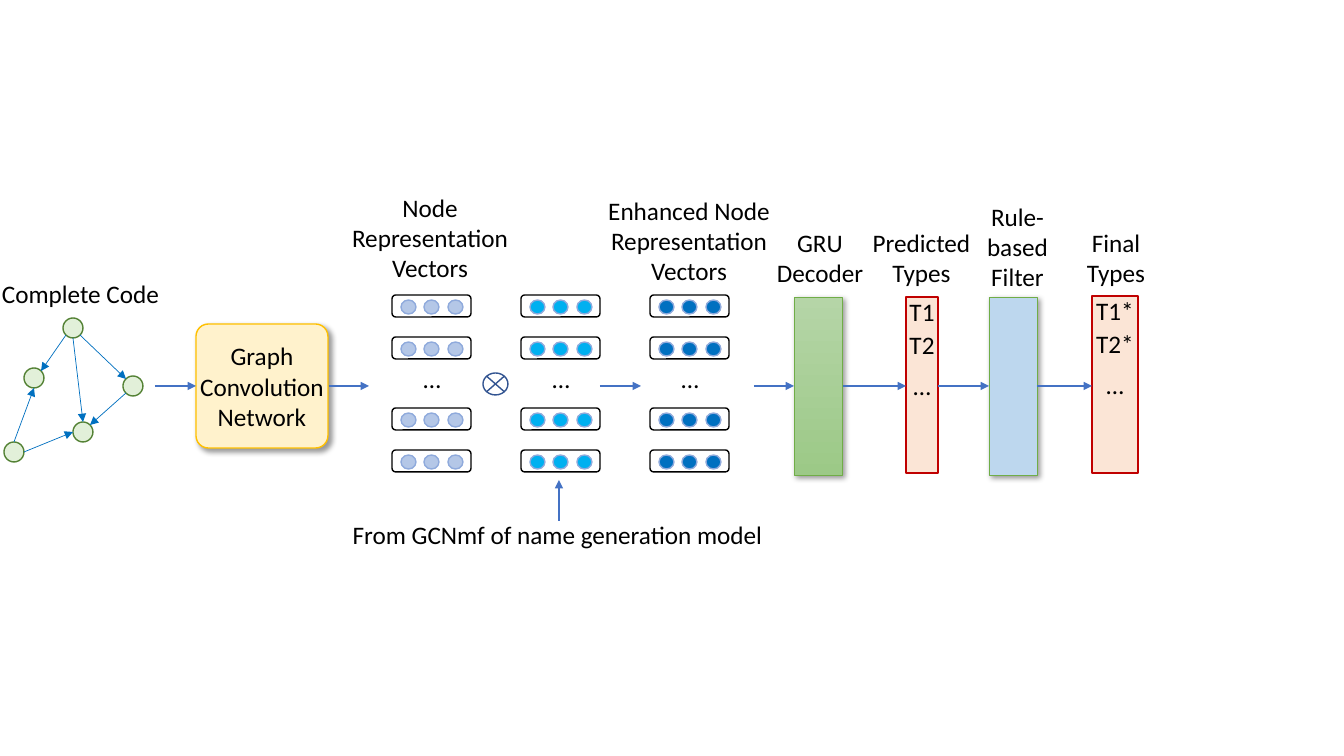
"""Builds a slide showing a type prediction pipeline, from code graph to final types."""
import math
from lxml import etree
from pptx import Presentation, util as u
from pptx.dml.color import RGBColor
from pptx.enum import shapes as kinds, text
from pptx.oxml.ns import qn

SCALE = 914400 / 100.8
SHAPE = kinds.MSO_SHAPE
BLACK, BLUE = "000000", "4472C4"
AXIS = 386


def px(*lengths):
    return [u.Emu(round(length * SCALE)) for length in lengths]


def colour(value):
    return RGBColor.from_string(value)


def write(shape, words, inset=0):
    frame = shape.text_frame
    frame.text = words
    frame.margin_left = frame.margin_right = 0
    frame.margin_top = frame.margin_bottom = px(inset)[0]
    frame.word_wrap = False
    for para in frame.paragraphs:
        para.alignment = text.PP_ALIGN.CENTER
        for span in para.runs:
            span.font.name, span.font.size = "Calibri", u.Pt(18)
            span.font.color.rgb = colour(BLACK)
    return frame


def label(parent, box, words):
    frame = write(parent.add_textbox(*px(*box)), words, 5)
    frame.vertical_anchor = text.MSO_ANCHOR.TOP
    frame.auto_size = text.MSO_AUTO_SIZE.SHAPE_TO_FIT_TEXT


def draw(parent, kind, box, fill, line, weight=1, shadow=False):
    shape = parent.add_shape(kind, *px(*box))
    shape.shadow.inherit = False
    if fill:
        shape.fill.solid()
        shape.fill.fore_color.rgb = colour(fill)
    else:
        shape.fill.background()
    shape.line.color.rgb, shape.line.width = colour(line), u.Pt(weight)
    if shadow:
        effects = shape._element.spPr.find(qn("a:effectLst"))
        outer = etree.SubElement(effects, qn("a:outerShdw"), blurRad="50800", dist="38100",
                                 dir="2700000", algn="tl", rotWithShape="0")
        black = etree.SubElement(outer, qn("a:srgbClr"), val=BLACK)
        etree.SubElement(black, qn("a:alpha"), val="40000")
    return shape


def arrow(parent, start, end, line=BLUE, weight=1.5):
    link = parent.add_connector(kinds.MSO_CONNECTOR.STRAIGHT, *px(*start, *end))
    link.line.color.rgb, link.line.width = colour(line), u.Pt(weight)
    properties = link._element.spPr
    etree.SubElement(properties.find(qn("a:ln")), qn("a:tailEnd"), type="triangle")
    etree.SubElement(properties, qn("a:effectLst"))


def code_graph(page, left, top):
    group = page.shapes.add_group_shape().shapes
    radius = 10
    nodes = {"root": (69, 10), "left": (30, 60), "low": (79, 114),
             "right": (129, 68), "corner": (10, 134)}
    edges = [("root", 3, "left", 7), ("root", 4, "low", 0), ("root", 5, "right", 1),
             ("right", 3, "low", 7), ("corner", 6, "low", 2), ("corner", 0, "left", 4)]

    def rim(node, eighth):
        x, y = nodes[node]
        turn = eighth * math.pi / 4
        return (round(left + x - radius * math.sin(turn)),
                round(top + y - radius * math.cos(turn)))

    for x, y in nodes.values():
        draw(group, SHAPE.OVAL, (left + x - radius, top + y - radius, 2 * radius, 2 * radius),
             "E2F0D9", "548235")
    for source, leave, target, arrive in edges:
        arrow(group, rim(source, leave), rim(target, arrive), "0070C0", 0.5)
    label(page.shapes, (left - 13, top - 45, 179, 40), "Complete Code")


def network(page, box):
    shape = draw(page.shapes, SHAPE.ROUNDED_RECTANGLE, box, "FFF2CC", "FFC000", shadow=True)
    shape.adjustments[0] = 0.1
    frame = write(shape, "Graph\nConvolution\nNetwork")
    frame.vertical_anchor = text.MSO_ANCHOR.MIDDLE


def vectors(page, left, top, fill):
    group = page.shapes.add_group_shape().shapes
    for row in (0, 42, 113, 155):
        draw(group, SHAPE.ROUNDED_RECTANGLE, (left, top + row, 79, 22), None, BLACK)
        for dot in (9, 32, 56):
            draw(group, SHAPE.OVAL, (left + dot, top + row + 5, 15, 14), fill, "8FAADC")
    label(group, (left + 21, top + 63, 38, 40), "…")


def stage(page, box, fill, caption_box, caption):
    shape = draw(page.shapes, SHAPE.RECTANGLE, box, fill[0], "70AD47", 0.5, shadow=True)
    if len(fill) > 1:
        shape.fill.gradient()
        shape.fill.gradient_angle = 270
        for stop, shade in zip(shape.fill.gradient_stops, fill):
            stop.color.rgb = colour(shade)
    label(page.shapes, caption_box, caption)


def type_list(page, box, names, caption_box, caption):
    left, top, width, height = box
    group = page.shapes.add_group_shape().shapes
    column = draw(group, SHAPE.RECTANGLE, box, "FBE5D6", "C00000")
    write(column, "…").vertical_anchor = text.MSO_ANCHOR.MIDDLE
    for row, name in enumerate(names):
        label(group, (left - 6, top - 6 + 33 * row, width + 12, 40), name)
    label(page.shapes, caption_box, caption)


def pipeline(page):
    code_graph(page, 4, 318)
    network(page, (196, 324, 132, 124))
    for column, fill in enumerate(("B4C7E7", "00B0F0", "0070C0")):
        vectors(page, 392 + 129 * column, 295, fill)
    label(page.shapes, (338, 187, 184, 102), "Node\nRepresentation\nVectors")
    label(page.shapes, (597, 190, 184, 102), "Enhanced Node\nRepresentation\nVectors")
    label(page.shapes, (340, 514, 435, 40), "From GCNmf of name generation model")
    draw(page.shapes, SHAPE.FLOWCHART_SUMMING_JUNCTION, (483, 373, 25, 22), None, "325491")
    stage(page, (794, 297, 48, 178), ("B5D5A7", "9CC987"), (766, 222, 108, 72), "GRU\nDecoder")
    type_list(page, (906, 297, 32, 176), ("T1", "T2"), (862, 222, 119, 72), "Predicted\nTypes")
    stage(page, (989, 297, 48, 178), ("BDD7EE",), (977, 196, 81, 102), "Rule-\nbased\nFilter")
    type_list(page, (1092, 296, 46, 177), ("T1*", "T2*"), (1077, 222, 78, 72), "Final\nTypes")
    for start, end in ((155, 196), (329, 369), (600, 641), (754, 794),
                       (843, 906), (938, 989), (1037, 1092)):
        arrow(page.shapes, (start, AXIS), (end, AXIS))
    arrow(page.shapes, (559, 521), (559, 480))


deck = Presentation()
deck.slide_width, deck.slide_height = px(1344, 756)
pipeline(deck.slides.add_slide(deck.slide_layouts[6]))
deck.save("out.pptx")
